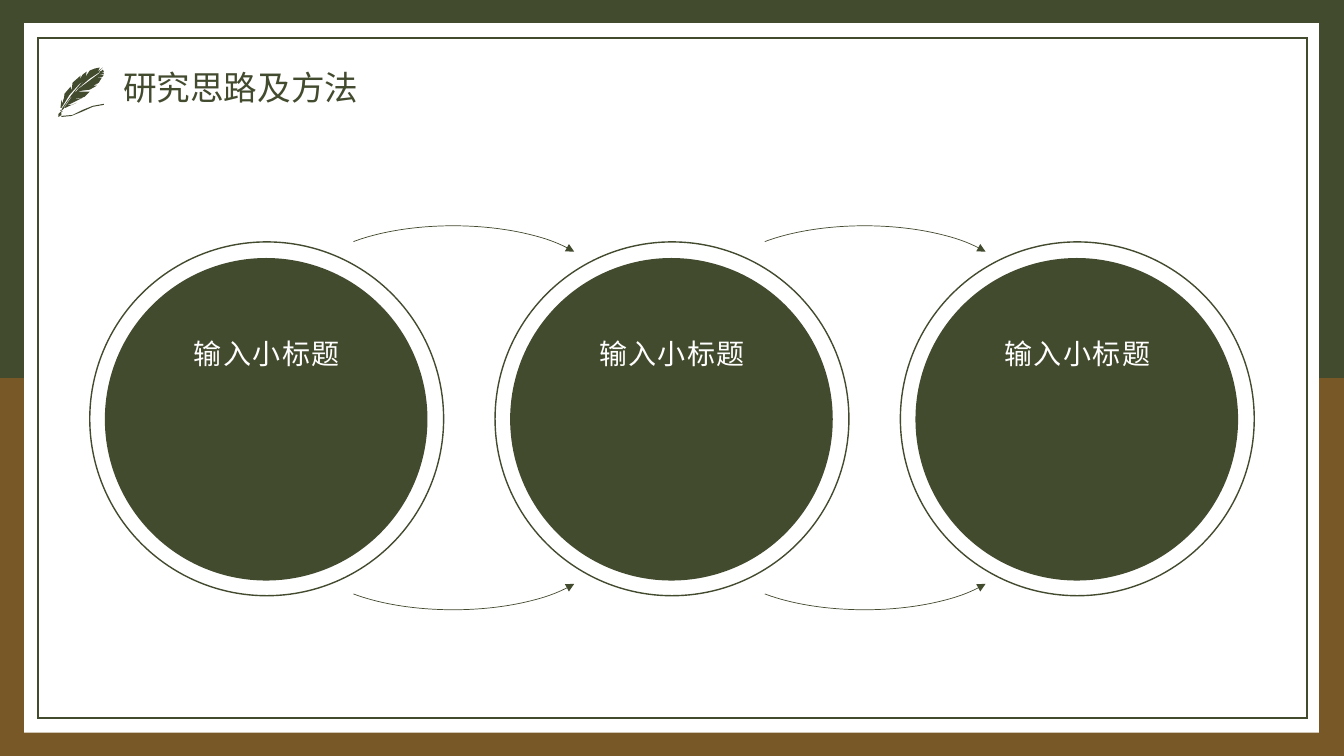
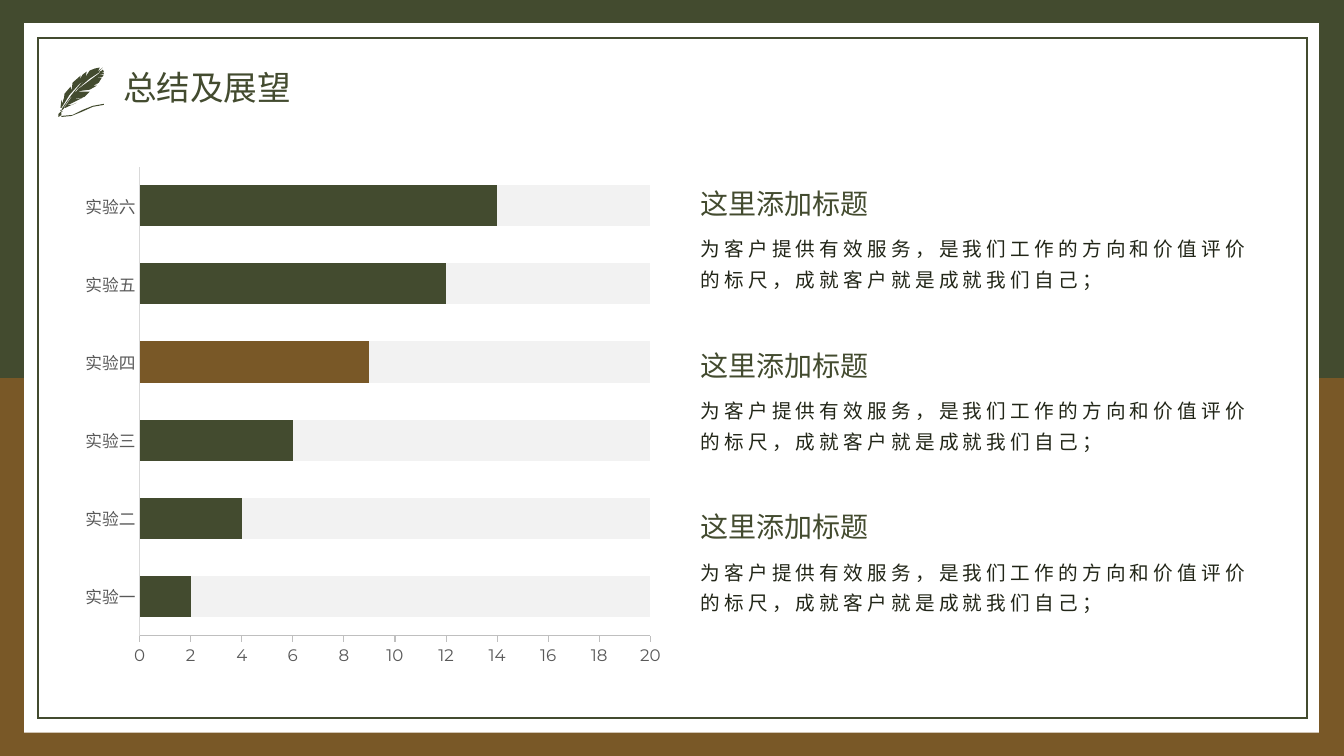
from dataclasses import dataclass

from lxml.etree import SubElement
from pptx import Presentation
from pptx.chart.data import CategoryChartData
from pptx.dml.color import RGBColor
from pptx.enum.chart import XL_CHART_TYPE, XL_TICK_MARK
from pptx.enum.shapes import MSO_SHAPE
from pptx.enum.text import MSO_ANCHOR, MSO_AUTO_SIZE, PP_ALIGN
from pptx.oxml import parse_xml
from pptx.oxml.ns import nsdecls, qn
from pptx.util import Inches, Pt


@dataclass(frozen=True)
class Theme:
    green: RGBColor = RGBColor.from_string("434B2F")
    brown: RGBColor = RGBColor.from_string("795827")
    white: RGBColor = RGBColor.from_string("FFFFFF")
    ink: RGBColor = RGBColor.from_string("222618")
    label: RGBColor = RGBColor.from_string("595959")
    track: RGBColor = RGBColor.from_string("F2F2F2")
    cat_line: RGBColor = RGBColor.from_string("D9D9D9")
    val_line: RGBColor = RGBColor.from_string("BFBFBF")
    head_font: str = "Arial"
    text_font: str = "Noto Sans CJK SC"
    chart_font: str = "Montserrat"
    title: int = 24
    head: int = 20
    body: int = 14
    axis: float = 11.9


theme = Theme()


def draw(slide, kind, box, fill=None, line=None, width=1.0):
    """Add a preset shape with a plain fill and line."""
    shape = slide.shapes.add_shape(kind, *map(Inches, box))
    shape.shadow.inherit = False
    if fill is None:
        shape.fill.background()
    else:
        shape.fill.solid()
        shape.fill.fore_color.rgb = fill
    if line is None:
        shape.line.fill.background()
    else:
        shape.line.color.rgb = line
        shape.line.width = Pt(width)
    return shape


def write(frame, text, size, color, lead, font=theme.text_font,
          align=PP_ALIGN.LEFT, gap=0):
    """Put one formatted run into the first paragraph of a frame."""
    para = frame.paragraphs[0]
    para.alignment = align
    para.line_spacing = lead
    run = para.add_run()
    run.text = text
    run.font.name = font
    run.font.size = Pt(size)
    run.font.color.rgb = color
    props = run.font._element
    if gap:
        props.set("spc", str(gap * 100))
    east = SubElement(props, qn("a:ea"))
    east.set("typeface", theme.text_font)
    props.find(qn("a:latin")).addnext(east)


deck = Presentation()
deck.slide_width, deck.slide_height = Inches(13.33), Inches(7.5)
layout = deck.slide_layouts[5]

# Layout: keep and place the title only
for holder in list(layout.placeholders):
    if holder.placeholder_format.idx:
        holder._element.getparent().remove(holder._element)
    else:
        holder.left, holder.top = Inches(1.12), Inches(0.65)
        holder.width, holder.height = Inches(6), Inches(0.48)

# One slide for each title
slides = []
for text in ("研究思路及方法", "总结及展望"):
    slide = deck.slides.add_slide(layout)
    frame = slide.shapes.title.text_frame
    frame.auto_size = MSO_AUTO_SIZE.NONE
    frame.vertical_anchor = MSO_ANCHOR.MIDDLE
    write(frame, text, theme.title, theme.green, 0.9, theme.head_font)
    slides.append(slide)
method, outlook = slides

# Shared frame: two bands, white page, thin border with square corners
rect = MSO_SHAPE.RECTANGLE
parts = [
    draw(method, rect, (0, 3.75, 13.33, 3.75), theme.brown),
    draw(method, rect, (0, 0, 13.33, 3.75), theme.green),
    draw(method, rect, (0.24, 0.23, 12.84, 7.04), theme.white),
    draw(method, rect, (0.38, 0.38, 12.58, 6.74), None, theme.green, 1.5),
]
SubElement(parts[-1].line._get_or_add_ln(), qn("a:miter")).set("lim", "800000")

# Shared quill, in hundredths of an inch
quill = [
    # Lower vane
    [(102, 69), (103, 71), (100, 73), (103, 72), (103, 73), (97, 75),
     (103, 74), (102, 76), (94, 78), (101, 77), (98, 82), (93, 84),
     (97, 83), (92, 85), (96, 85), (89, 89), (81, 90), (76, 91),
     (81, 91), (89, 91), (84, 96), (81, 97), (73, 98), (78, 98),
     (82, 97), (70, 103), (66, 104), (71, 104), (76, 102), (69, 105),
     (65, 107), (63, 107), (69, 98), (78, 88), (90, 79), (98, 73)],
    # Upper vane
    [(99, 67), (97, 71), (102, 67), (98, 71), (94, 74), (79, 83),
     (69, 94), (61, 107), (60, 107), (61, 99), (62, 103), (63, 98),
     (63, 101), (64, 93), (70, 86), (71, 90), (72, 82), (80, 75),
     (79, 79), (82, 74), (86, 71), (85, 76), (89, 70), (94, 68)],
    # Shaft, nib and stroke of ink
    [(101, 70), (89, 78), (76, 89), (63, 108), (62, 109), (61, 109),
     (62, 107), (71, 94), (80, 83), (95, 73)],
    [(60, 109), (62, 110), (62, 111), (60, 110)],
    [(60, 111), (61, 111), (61, 114), (58, 116), (58, 113)],
    [(103, 103), (103, 104), (92, 106), (81, 111), (71, 115), (61, 116),
     (61, 115), (72, 114), (82, 109), (92, 105)],
]
pen = method.shapes.build_freeform(*quill[0][0], scale=Inches(0.01))
for i, points in enumerate(quill):
    if i:
        pen.move_to(*points[0])
    pen.add_line_segments(points[1:], close=True)
feather = pen.convert_to_shape()
feather.shadow.inherit = False
feather.fill.solid()
feather.fill.fore_color.rgb = theme.green
feather.line.fill.background()
parts.append(feather)

# Move the shared parts behind the layout's title
for i, part in enumerate(parts):
    layout.shapes._spTree.insert(2 + i, part._element)

# Method: three ringed discs
for i in range(3):
    left = 0.89 + 4.02 * i
    draw(method, MSO_SHAPE.OVAL, (left, 2.4, 3.51, 3.51), None, theme.green)
    draw(method, MSO_SHAPE.OVAL, (left + 0.15, 2.56, 3.2, 3.2), theme.green)
    box = method.shapes.add_textbox(
        Inches(left + 1.02), Inches(3.29), Inches(1.47), Inches(0.44))
    frame = box.text_frame
    frame.word_wrap = False
    frame.margin_left = frame.margin_right = 0
    write(frame, "输入小标题", theme.head, theme.white, Pt(24),
          align=PP_ALIGN.CENTER, gap=1)

# Method: arcs above and below the gaps
for left in (3.05, 7.13):
    for top, flip in ((2.24, False), (4.89, True)):
        arc = draw(method, MSO_SHAPE.ARC, (left, top, 2.89, 1.16),
                   None, theme.green, 0.5)
        arc.adjustments[0], arc.adjustments[1] = 121.884, 206.972
        if flip:
            arc._element.spPr.get_or_add_xfrm().set("flipV", "1")
        tip = SubElement(arc.line._get_or_add_ln(), qn("a:tailEnd"))
        tip.set("type", "triangle")

# Outlook: bars over full-length tracks
data = CategoryChartData()
data.categories = ["实验" + mark for mark in "一二三四五六"]
data.add_series("Series 1", [20] * 6)
data.add_series("Series 2", (2, 4, 6, 9, 12, 14))
chart = outlook.shapes.add_chart(
    XL_CHART_TYPE.BAR_CLUSTERED, Inches(0.73), Inches(1.55),
    Inches(5.96), Inches(5.17), data).chart
chart.has_legend = chart.has_title = False
chart.font.name = theme.chart_font
chart.font.size = Pt(theme.axis)
chart.font.color.rgb = theme.label
plot = chart.plots[0]
plot.gap_width, plot.overlap = 90, 100
plot.vary_by_categories = False
for series, color in zip(plot.series, (theme.track, theme.green)):
    series.format.fill.solid()
    series.format.fill.fore_color.rgb = color
accent = plot.series[1].points[3].format.fill
accent.solid()
accent.fore_color.rgb = theme.brown

# Outlook: axes and plot area
for axis, tick, color in (
    (chart.category_axis, XL_TICK_MARK.NONE, theme.cat_line),
    (chart.value_axis, XL_TICK_MARK.OUTSIDE, theme.val_line),
):
    axis.has_major_gridlines = False
    axis.major_tick_mark, axis.minor_tick_mark = tick, XL_TICK_MARK.NONE
    axis.format.line.color.rgb = color
    axis.format.line.width = Pt(0.75)
scale = chart.value_axis
scale.minimum_scale, scale.maximum_scale, scale.major_unit = 0, 20, 2
area = chart._chartSpace.chart.plotArea
for old in area.findall(qn("c:layout")):
    area.remove(old)
area.insert(0, parse_xml(
    f'<c:layout {nsdecls("c")}><c:manualLayout>'
    '<c:layoutTarget val="inner"/><c:xMode val="edge"/><c:yMode val="edge"/>'
    '<c:x val="0.11"/><c:y val="0.02"/><c:w val="0.85"/><c:h val="0.9"/>'
    '</c:manualLayout></c:layout>'))

# Outlook: three headed notes
for i in range(3):
    top = 1.8 + 1.605 * i
    for text, drop, wide, high, size, color, lead, gap in (
        ("这里添加标题", 0, 2.37, 0.44, theme.head, theme.green, 24, 0),
        ("为客户提供有效服务，是我们工作的方向和价值评价的标尺，"
         "成就客户就是成就我们自己；",
         0.43, 5.83, 0.68, theme.body, theme.ink, 22, 3),
    ):
        box = outlook.shapes.add_textbox(
            Inches(6.85), Inches(top + drop), Inches(wide), Inches(high))
        box.text_frame.word_wrap = True
        write(box.text_frame, text, size, color, Pt(lead), gap=gap)

deck.save("out.pptx")
